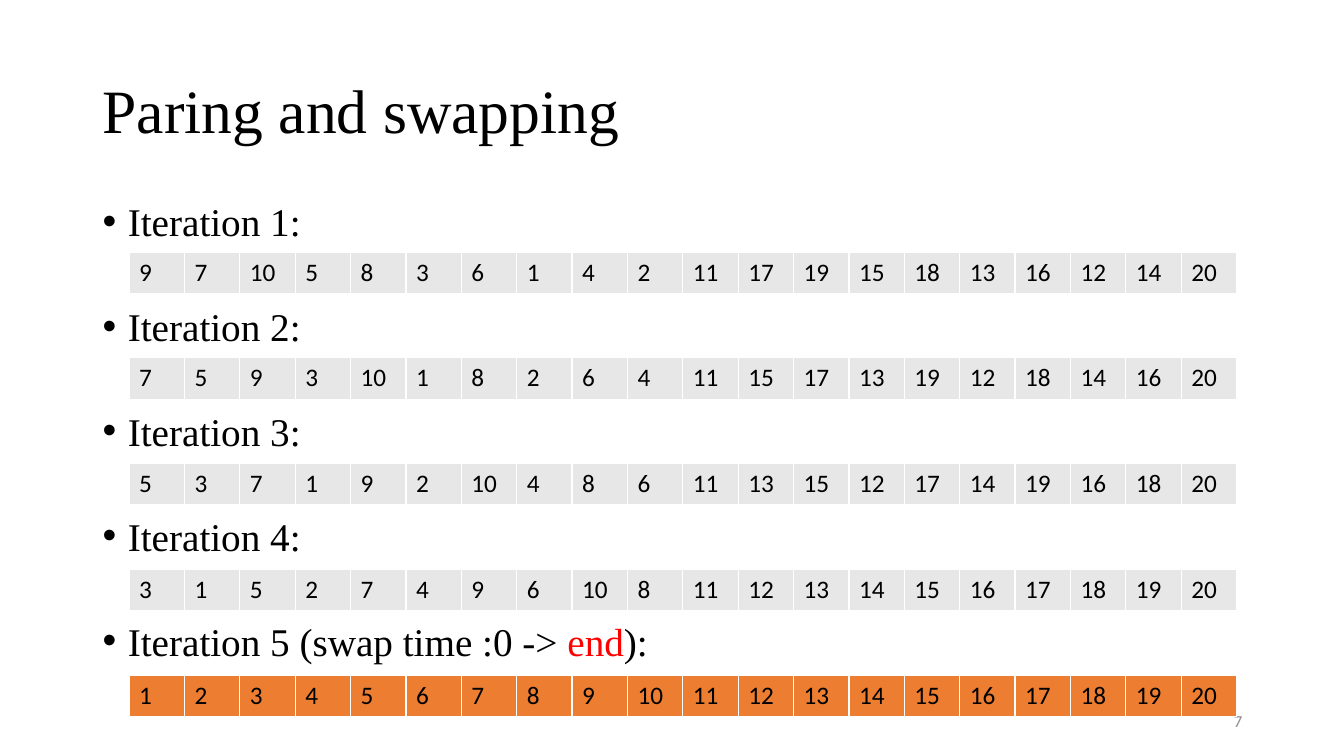
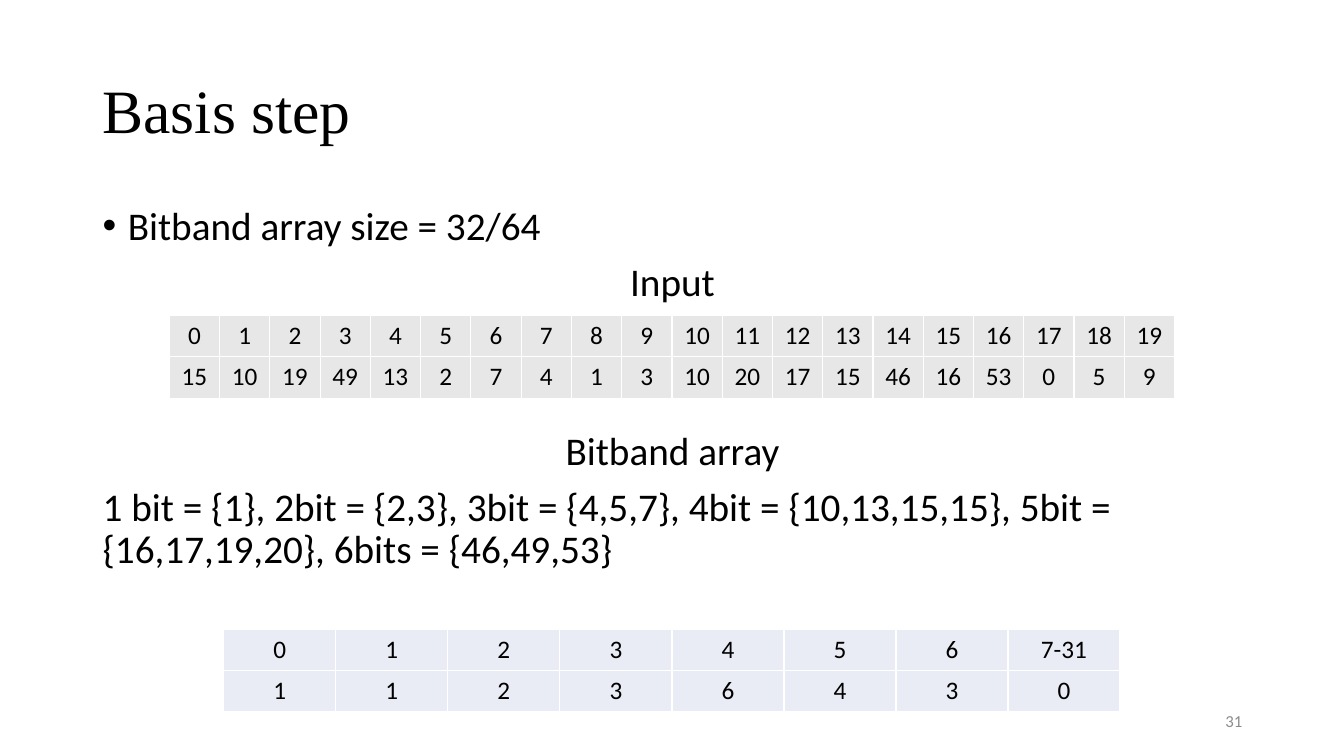
from dataclasses import dataclass

from lxml.etree import SubElement
from pptx import Presentation
from pptx.dml.color import RGBColor
from pptx.enum.text import MSO_ANCHOR, PP_ALIGN
from pptx.oxml.ns import qn
from pptx.util import Inches, Pt

SERIF, SANS = "Times New Roman", "Calibri"
BLACK, GREY, RED, WHITE = "000000", "8C8C8C", "FF0000", "FFFFFF"
PALE, ORANGE, LILAC = "E7E7E7", "ED7D31", "E9EBF5"


def color(value):
    """Turn a hex string into a colour."""
    return RGBColor.from_string(value)


@dataclass
class Para:
    """One paragraph: its runs as (text, colour) pairs and its layout."""
    runs: list
    align: PP_ALIGN = PP_ALIGN.LEFT
    before: float = 0
    bullet: bool = False


class Deck:
    """Holds the shared style and the current slide."""

    def __init__(self):
        """Start an empty widescreen presentation."""
        self.prs = Presentation()
        self.prs.slide_width = Inches(13.33)
        self.prs.slide_height = Inches(7.5)
        self.s = None

    def slide(self, title, number):
        """Add a slide with its title and page number."""
        self.s = self.prs.slides.add_slide(self.prs.slide_layouts[6])
        self.text((0.92, 0.4, 11.5, 1.45), [Para([(title, BLACK)])],
                  SERIF, 44, 0.9, MSO_ANCHOR.MIDDLE)
        self.text((9.42, 6.95, 3, 0.4),
                  [Para([(str(number), GREY)], PP_ALIGN.RIGHT)],
                  SANS, 12, 1.0, MSO_ANCHOR.MIDDLE)

    def text(self, box, paras, font, size, spacing, anchor=MSO_ANCHOR.TOP):
        """Add a wrapped text box."""
        tf = self.s.shapes.add_textbox(*map(Inches, box)).text_frame
        tf.word_wrap = True
        tf.vertical_anchor = anchor
        for i, para in enumerate(paras):
            p = tf.add_paragraph() if i else tf.paragraphs[0]
            if para.bullet:
                self.bullet(p)
            p.alignment = para.align
            p.line_spacing = spacing
            p.space_before = Pt(para.before)
            for content, tint in para.runs:
                self.run(p, content, font, size, tint)

    def body(self, paras, font, spacing):
        """Add the main text below the title."""
        self.text((0.92, 2, 11.5, 4.76), paras, font, 28, spacing)

    def run(self, p, content, font, size, tint):
        """Add one styled run."""
        r = p.add_run()
        r.text = content
        r.font.name = font
        r.font.size = Pt(size)
        r.font.color.rgb = color(tint)

    def bullet(self, p):
        """Give a paragraph a hanging bullet."""
        pPr = p._p.get_or_add_pPr()
        pPr.set("marL", str(Inches(0.25)))
        pPr.set("indent", str(-Inches(0.25)))
        SubElement(pPr, qn("a:buFont"), typeface="Arial")
        SubElement(pPr, qn("a:buChar"), char="•")

    def table(self, left, top, width, rows, fill, align=PP_ALIGN.LEFT):
        """Add a table of equal columns and one fill."""
        count, height = len(rows[0]), 0.41
        frame = self.s.shapes.add_table(
            len(rows), count, Inches(left), Inches(top),
            Inches(width), Inches(height * len(rows)))
        table = frame.table
        table.first_row = table.horz_banding = False
        for col in table.columns:
            col.width = Inches(width / count)
        for row, values in zip(table.rows, rows):
            row.height = Inches(height)
            for cell, value in zip(row.cells, values):
                self.borders(cell)
                cell.fill.solid()
                cell.fill.fore_color.rgb = color(fill)
                p = cell.text_frame.paragraphs[0]
                p.alignment = align
                self.run(p, str(value), SANS, 18, BLACK)

    def borders(self, cell):
        """Draw thin white borders round a cell."""
        tcPr = cell._tc.get_or_add_tcPr()
        for side in ("lnL", "lnR", "lnT", "lnB"):
            ln = SubElement(tcPr, qn(f"a:{side}"), w=str(Pt(1)))
            SubElement(SubElement(ln, qn("a:solidFill")),
                       qn("a:srgbClr"), val=WHITE)


def swapping(deck):
    """Build the slide of sorting iterations."""
    iterations = [
        "9 7 10 5 8 3 6 1 4 2 11 17 19 15 18 13 16 12 14 20".split(),
        "7 5 9 3 10 1 8 2 6 4 11 15 17 13 19 12 18 14 16 20".split(),
        "5 3 7 1 9 2 10 4 8 6 11 13 15 12 17 14 19 16 18 20".split(),
        "3 1 5 2 7 4 9 6 10 8 11 12 13 14 15 16 17 18 19 20".split(),
        range(1, 21),
    ]
    last = len(iterations) - 1
    deck.slide("Paring and swapping", 7)
    labels = [[(f"Iteration {i + 1}:", BLACK)] for i in range(last)]
    labels.append([("Iteration 5 (swap time :0 -> ", BLACK),
                   ("end", RED), ("):", BLACK)])
    deck.body([Para(runs, before=48 if i else 0, bullet=True)
               for i, runs in enumerate(labels)], SERIF, 0.8)
    for i, values in enumerate(iterations):
        deck.table(1.28, 2.5 + 1.05 * i, 10.99, [values],
                   ORANGE if i == last else PALE)


def basis(deck):
    """Build the slide of the bitband array."""
    numbers = "15 10 19 49 13 2 7 4 1 3 10 20 17 15 46 16 53 0 5 9".split()
    bits = [*range(7), "7-31"]
    counts = [1, 1, 2, 3, 6, 4, 3, 0]
    sets = ("1 bit = {1}, 2bit = {2,3}, 3bit = {4,5,7}, "
            "4bit = {10,13,15,15}, 5bit = {16,17,19,20}, "
            "6bits = {46,49,53}")
    center = PP_ALIGN.CENTER
    deck.slide("Basis step", 31)
    deck.body([
        Para([("Bitband array size = 32/64", BLACK)], bullet=True),
        Para([("Input", BLACK)], center, 10),
        Para([("Bitband array", BLACK)], center, 90),
        Para([(sets, BLACK)], before=10),
    ], SANS, 0.9)
    deck.table(1.68, 3.13, 9.97, [range(20), numbers], PALE, center)
    deck.table(2.22, 6.24, 8.89, [bits, counts], LILAC, center)


def main():
    """Build and save the presentation."""
    deck = Deck()
    swapping(deck)
    basis(deck)
    deck.prs.save("out.pptx")


if __name__ == "__main__":
    main()
